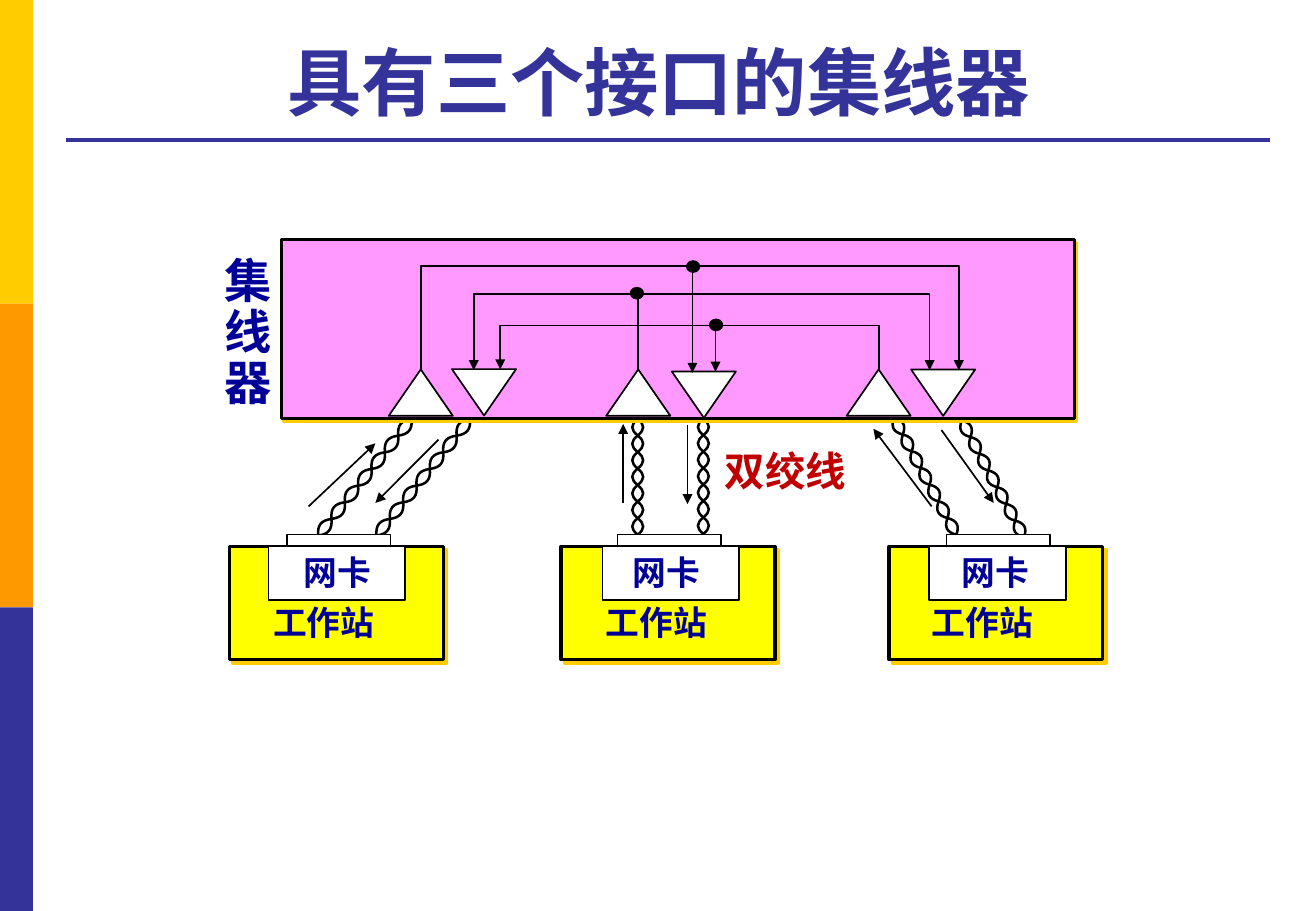
from math import hypot

from lxml.etree import SubElement
from pptx import Presentation
from pptx.dml.color import RGBColor
from pptx.enum.shapes import MSO_CONNECTOR, MSO_SHAPE as SHAPE
from pptx.enum.text import MSO_ANCHOR as ANCHOR, PP_ALIGN as ALIGN
from pptx.oxml.ns import qn
from pptx.util import Pt

GOLD = RGBColor(0xFF, 0xCC, 0x00)
ORANGE = RGBColor(0xFF, 0x99, 0x00)
INDIGO = RGBColor(0x33, 0x33, 0x99)
NAVY = RGBColor(0x00, 0x00, 0x99)
RED = RGBColor(0xC0, 0x00, 0x00)
PINK = RGBColor(0xFF, 0x99, 0xFF)
YELLOW = RGBColor(0xFF, 0xFF, 0x00)
WHITE = RGBColor(0xFF, 0xFF, 0xFF)
BLACK = RGBColor(0x00, 0x00, 0x00)

prs = Presentation()
prs.slide_width, prs.slide_height = Pt(780), Pt(540)
slide = prs.slides.add_slide(prs.slide_layouts[6])


def add_box(kind, left, top, width, height, fill, line=1, shadow=None):
    """Add a filled preset shape; shadow is (distance in points, angle)."""
    s = slide.shapes.add_shape(kind, Pt(left), Pt(top), Pt(width), Pt(height))
    s.shadow.inherit = False
    s.fill.solid()
    s.fill.fore_color.rgb = fill
    if line:
        s.line.color.rgb = BLACK
        s.line.width = Pt(line)
    else:
        s.line.fill.background()
    if shadow:
        effects = s._element.spPr.find(qn("a:effectLst"))
        outer = SubElement(effects, qn("a:outerShdw"), dist=str(Pt(shadow[0])),
                           dir=str(shadow[1] * 60000), algn="ctr", rotWithShape="0")
        SubElement(outer, qn("a:srgbClr"), val=str(GOLD))
    return s


def trace(points, width=1, color=BLACK, arrow=True):
    """Draw a connector for two points, an open outline for more."""
    pts = [(Pt(x), Pt(y)) for x, y in points]
    if len(pts) == 2:
        s = slide.shapes.add_connector(MSO_CONNECTOR.STRAIGHT, *pts[0], *pts[1])
    else:
        builder = slide.shapes.build_freeform(*pts[0])
        builder.add_line_segments(pts[1:], close=False)
        s = builder.convert_to_shape()
        s.fill.background()
    s.line.color.rgb = color
    s.line.width = Pt(width)
    sp_pr = s._element.spPr
    if arrow:
        SubElement(sp_pr.find(qn("a:ln")), qn("a:tailEnd"), type="triangle")
    SubElement(sp_pr, qn("a:effectLst"))
    return s


# Side bars and title rule
for i, color in enumerate((GOLD, ORANGE, INDIGO)):
    add_box(SHAPE.RECTANGLE, 0, i * 180, 19.6, 180, color, line=0)
trace([(39, 82.8), (753, 82.8)], 2.25, INDIGO, arrow=False)

# Twisted pairs: two mirrored waves along each cable axis
HALF_WAVES, SWING = 7, 4.3
cables = [
    ((188.6, 317.5), (244, 248.4)), ((223.2, 317.5), (278.6, 248.4)),
    ((378, 317), (378, 248.4)), ((416.9, 316.5), (416.9, 248.2)),
    ((566.9, 317), (529.9, 247.7)), ((607, 318.5), (570, 249.2)),
]
for (x1, y1), (x2, y2) in cables:
    dx, dy = x2 - x1, y2 - y1
    length = hypot(dx, dy)
    for side in (SWING, -SWING):
        strand = [(x1, y1)]
        for n in range(HALF_WAVES):
            swing = side * (-1) ** n / length
            for part, offset in ((0.36, swing), (0.64, swing), (1, 0)):
                t = (n + part) / HALF_WAVES
                strand.append((x1 + dx * t - dy * offset, y1 + dy * t + dx * offset))
        s = trace(strand, 1.5, arrow=False)
        # Each three points become the controls and end of one curve
        outline = next(s._element.iter(qn("a:path")))
        segments = outline.findall(qn("a:lnTo"))
        for n in range(0, len(segments), 3):
            curve = SubElement(outline, qn("a:cubicBezTo"))
            for segment in segments[n:n + 3]:
                curve.append(segment[0])
                outline.remove(segment)

# Hub with its sending and receiving ports
add_box(SHAPE.RECTANGLE, 167, 142, 470, 106, PINK, 2, (2.2, 63))
for left in (230.4, 359.3, 501.8):
    add_box(SHAPE.ISOSCELES_TRIANGLE, left, 219, 38, 27.5, WHITE)
for left, top in ((267.9, 218.8), (398.2, 220.2), (540, 219)):
    add_box(SHAPE.ISOSCELES_TRIANGLE, left, top, 38, 27.5, WHITE).rotation = 180

# Wiring inside the hub
wires = [
    [(521.2, 219), (521.2, 193), (296.5, 193), (296.5, 219)],
    [(378, 220), (378, 174.2), (551, 174.2), (551, 219.5)],
    [(378, 174.2), (280.8, 174.2), (280.8, 219.5)],
    [(249.6, 220), (249.6, 157.7), (568.3, 157.7), (568.3, 219.5)],
    [(424.1, 193.5), (424.1, 220.3)],
    [(410.4, 159), (410.4, 221)],
]
for wire in wires:
    trace(wire)
for x, y in ((377.5, 173.8), (410.8, 158), (424.4, 192.6)):
    add_box(SHAPE.OVAL, x - 3.75, y - 3.25, 7.5, 6.5, BLACK)

# Workstations: left edges of body, card, plug and the two labels
stations = [
    (136.1, 159.2, 170, 172.8, 154.8),
    (332.6, 357.1, 366, 367.9, 352.1),
    (527, 550.8, 561, 563, 545),
]
labels = []
for body, card, plug, card_label, body_label in stations:
    add_box(SHAPE.RECTANGLE, body, 324, 126.7, 67, YELLOW, 2, (2.8, 45))
    add_box(SHAPE.RECTANGLE, card, 324, 81, 31.7, WHITE)
    add_box(SHAPE.RECTANGLE, plug, 316.8, 61.5, 6.5, WHITE)
    labels.append((["网卡"], card_label, 323.3, 54.7, 31, 20, NAVY))
    labels.append((["工作站"], body_label, 353, 75.6, 31, 20, NAVY))

# Signal directions beside the cables
signals = [
    ((182.9, 300.2), (222.5, 262.8)), ((259.9, 260.6), (222.5, 298.1)),
    ((369.4, 298.1), (369.4, 251.3)), ((407.5, 252), (407.5, 298.8)),
    ((552.2, 300.2), (517.7, 254.2)), ((558, 254.9), (589, 298.1)),
]
for signal in signals:
    trace(signal)

# Title and labels
TITLE = ["具有三个接口的集线器 "]
labels += [
    (TITLE, 38.9, 15.1, 713.5, 62.6, 44, INDIGO),
    (list("集线器"), 126, 149, 42.5, 98.6, 28, NAVY),
    (["双绞线"], 422.6, 260.6, 87.1, 36, 24, RED),
]
for lines, left, top, width, height, size, color in labels:
    s = slide.shapes.add_textbox(Pt(left), Pt(top), Pt(width), Pt(height))
    tf = s.text_frame
    tf.word_wrap = lines is TITLE
    if lines is TITLE:
        tf.vertical_anchor = ANCHOR.BOTTOM
    tf.text = "\n".join(lines)
    for p in tf.paragraphs:
        p.alignment = ALIGN.CENTER if lines is TITLE else ALIGN.LEFT
        p.line_spacing = 0.9 if len(lines) > 1 else 1.0
        p.font.name = "Arial"
        p.font.size = Pt(size)
        p.font.bold = True
        p.font.color.rgb = color

prs.save("out.pptx")
